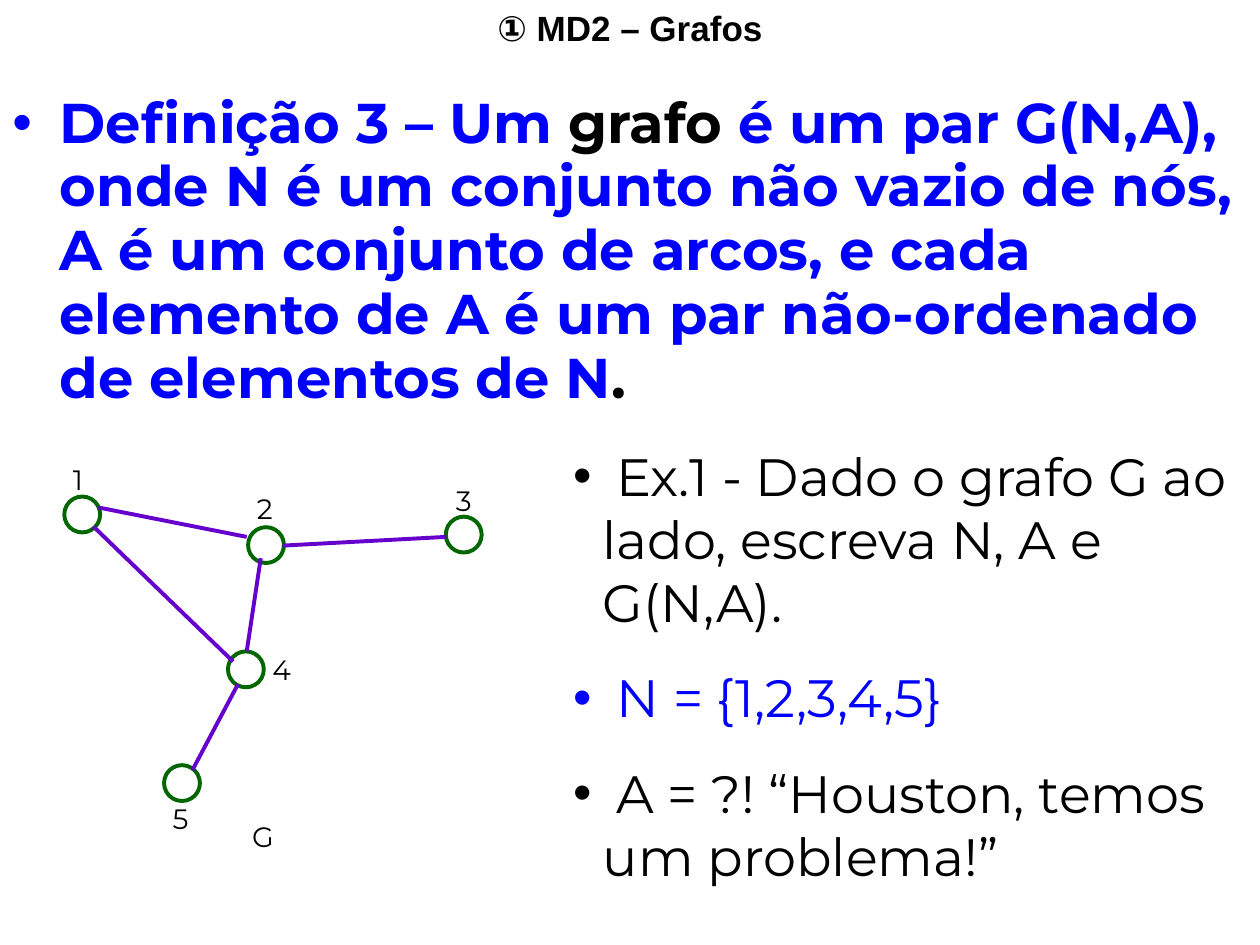
from lxml.etree import SubElement as Sub
from pptx import Presentation
from pptx.dml.color import RGBColor as RGB
from pptx.enum.shapes import MSO_CONNECTOR as Link, MSO_SHAPE as Kind
from pptx.enum.text import MSO_ANCHOR as Anchor, MSO_AUTO_SIZE as Fit, PP_ALIGN as Align
from pptx.oxml.ns import qn
from pptx.util import Pt

BLACK, BLUE, GREEN, PURPLE, WHITE = "000000", "0000FF", "006600", "6600CC", "FFFFFF"
FACE = "Montserrat"
TITLE = "① MD2 – Grafos"
DEFINITION = [
    ("Definição 3 – Um ", BLUE),
    ("grafo", BLACK),
    (" é um par G(N,A), onde N é um conjunto não vazio de nós, A é um conjunto "
     "de arcos, e cada elemento de A é um par não-ordenado de elementos de N", BLUE),
    (".", BLACK),
]
TASKS = [
    (" Ex.1 - Dado o grafo G ao lado, escreva N, A e G(N,A).", BLACK),
    (" N = {1,2,3,4,5}", BLUE),
    (" A = ?! “Houston, temos um problema!”", BLACK),
]
NODES = [(47, 294), (152, 311.5), (265, 305.5), (140.5, 382.5), (104, 447.5)]
EDGES = [
    (56.2, 290, 141, 306.8),
    (161.5, 311.8, 255, 306.8),
    (53.5, 301, 133.2, 378),
    (149, 319, 141, 372.2),
    (136, 391, 110, 440),
]
LABELS = [
    ("1", 34.5, 260.8), ("2", 139.7, 277.2), ("3", 253.4, 272.8),
    ("4", 148.5, 369.4), ("5", 91.5, 454.5), ("G", 137, 464.5),
]
SIZE = 20.5


def paint(target, color):
    target.rgb = RGB.from_string(color)


def style(run, size, color, bold=False, face=FACE):
    run.font.name = face
    run.font.size = Pt(size)
    run.font.bold = bold
    paint(run.font.color, color)


def bullet(para, color, indent):
    props = para._p.get_or_add_pPr()
    props.set("marL", str(Pt(indent)))
    props.set("indent", str(-Pt(indent)))
    Sub(Sub(props, qn("a:buClr")), qn("a:srgbClr"), val=color)
    Sub(props, qn("a:buFont"), typeface="Arial")
    Sub(props, qn("a:buChar"), char="•")


def box(shapes, x, y, w, h, wrap=True):
    frame = shapes.add_textbox(Pt(x), Pt(y), Pt(w), Pt(h)).text_frame
    frame.word_wrap = wrap
    frame.auto_size = Fit.SHAPE_TO_FIT_TEXT
    return frame


def stroke(line, color):
    line.width = Pt(2.25)
    paint(line.color, color)


deck = Presentation()
deck.slide_width, deck.slide_height = Pt(720), Pt(540)
slide = deck.slides.add_slide(deck.slide_layouts[5])

title = slide.shapes.title
title.left, title.top, title.width, title.height = Pt(0), Pt(0), Pt(720), Pt(31.5)
frame = title.text_frame
frame.text = TITLE
frame.vertical_anchor = Anchor.TOP
frame.auto_size = Fit.SHAPE_TO_FIT_TEXT
frame.paragraphs[0].alignment = Align.CENTER
style(frame.paragraphs[0].runs[0], 20, BLACK, True, "Arial")

para = box(slide.shapes, 0, 49, 720, 190).paragraphs[0]
bullet(para, BLUE, 27)
para.line_spacing = 0.95
for text, color in DEFINITION:
    run = para.add_run()
    run.text = text
    style(run, 32, color, True)

graph = slide.shapes.add_group_shape().shapes
for x, y in NODES:
    node = graph.add_shape(Kind.FLOWCHART_CONNECTOR, Pt(x - SIZE / 2), Pt(y - SIZE / 2),
                           Pt(SIZE), Pt(SIZE))
    node.shadow.inherit = False
    node.fill.solid()
    paint(node.fill.fore_color, WHITE)
    stroke(node.line, GREEN)
for ends in EDGES:
    edge = graph.add_connector(Link.STRAIGHT, *map(Pt, ends))
    stroke(edge.line, PURPLE)
    Sub(edge._element.spPr, qn("a:effectLst"))
for text, x, y in LABELS:
    frame = box(graph, x, y, 25.5 if text == "G" else 23, 26.6, False)
    frame.text = text
    style(frame.paragraphs[0].runs[0], 16, BLACK)

frame = box(slide.shapes, 320.4, 250, 399.6, 224.6)
frame.text = "\n".join(text for text, _ in TASKS)
for i, (para, (_, color)) in enumerate(zip(frame.paragraphs, TASKS)):
    bullet(para, color, 17)
    if i:
        para.space_before = Pt(18.7)
    style(para.runs[0], 30, color)

deck.save("out.pptx")
